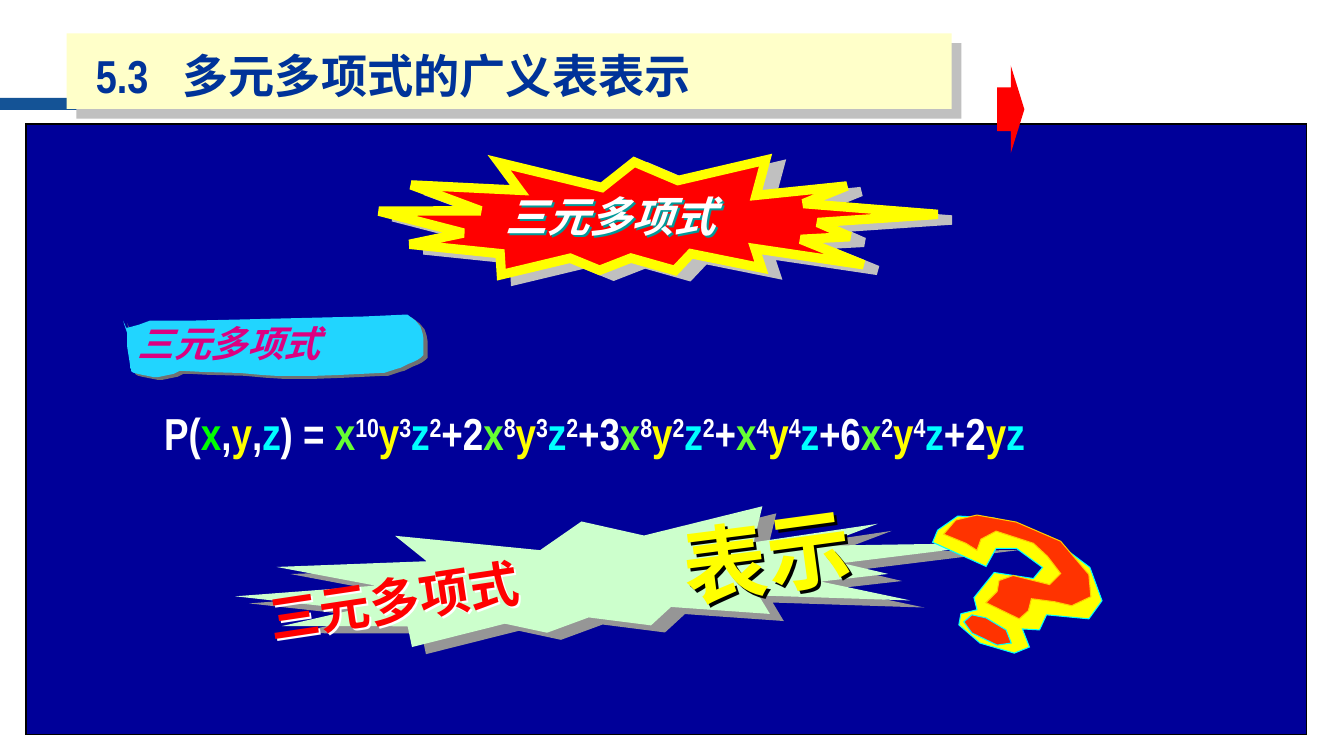
from dataclasses import dataclass
from typing import Optional

from lxml.etree import SubElement
from pptx import Presentation
from pptx.dml.color import RGBColor
from pptx.enum.shapes import MSO_SHAPE as Kind
from pptx.enum.text import MSO_ANCHOR as Anchor, MSO_AUTO_SIZE as Fit, PP_ALIGN as Align
from pptx.oxml.ns import qn
from pptx.util import Pt

PX = 9144  # EMU per px, 100 px to the inch


@dataclass(frozen=True)
class Theme:
    font: str = "Arial Narrow"
    white: str = "FFFFFF"
    black: str = "000000"
    yellow: str = "FFFF00"
    red: str = "FF0000"
    orange: str = "FF3300"
    gold: str = "FFCC00"
    cyan: str = "00FFFF"
    green: str = "00FF00"
    lime: str = "66FF33"
    mint: str = "CCFFCC"
    cream: str = "FFFFC9"
    navy: str = "000099"
    title: str = "003399"
    bar: str = "145396"
    sky: str = "21D5FF"
    pink: str = "DC0081"
    teal: str = "009999"
    silver: str = "C0C0C0"
    grey: str = "969696"
    dark: str = "717171"
    head_size: int = 33
    huge_size: int = 60
    big_size: int = 36
    math_size: int = 32
    burst_size: int = 30
    tag_size: int = 26


T = Theme()
Box = tuple[int, int, int, int]
Point = tuple[int, int]


@dataclass(frozen=True)
class Shade:
    color: str
    dist: float
    angle: int


@dataclass(frozen=True)
class Paint:
    fill: str
    line: Optional[str] = None
    width: float = 0.75
    shade: Optional[Shade] = None


@dataclass(frozen=True)
class Block:
    kind: Kind
    box: Box
    paint: Paint
    turn: float = 0


@dataclass(frozen=True)
class Label:
    text: str
    box: Box
    size: int
    color: str
    turn: float = 0
    slant: bool = False
    wrap: bool = True
    shade: Optional[Shade] = None


@dataclass(frozen=True)
class Term:
    sign: str
    powers: str  # each letter followed by its exponent, 1 when none shows


def cast(shape, shade: Optional[Shade]) -> None:
    """Replace the inherited shadow with the given one, if any."""
    shape.shadow.inherit = False
    if shade:
        effects = shape._element.spPr.find(qn("a:effectLst"))
        outer = SubElement(effects, qn("a:outerShdw"), dist=str(Pt(shade.dist)),
                           dir=str(shade.angle * 60000), algn="ctr", rotWithShape="0")
        SubElement(outer, qn("a:srgbClr"), val=shade.color)


def coat(shape, paint: Paint) -> None:
    """Set fill, outline and shadow."""
    shape.fill.solid()
    shape.fill.fore_color.rgb = RGBColor.from_string(paint.fill)
    if paint.line:
        shape.line.color.rgb = RGBColor.from_string(paint.line)
        shape.line.width = Pt(paint.width)
        SubElement(shape.line._get_or_add_ln(), qn("a:miter"), lim="800000")
    else:
        shape.line.fill.background()
    cast(shape, paint.shade)


def add_block(slide, block: Block):
    shape = slide.shapes.add_shape(block.kind, *(n * PX for n in block.box))
    shape.rotation = block.turn
    coat(shape, block.paint)
    return shape


def add_form(slide, points: list[Point], paint: Paint) -> None:
    form = slide.shapes.build_freeform(*points[0], scale=PX)
    form.add_line_segments(points[1:], close=True)
    coat(form.convert_to_shape(), paint)


def bend(points: list[Point], steps: int = 6) -> list[Point]:
    """Sample a chain of cubic curves: a start, then three points per curve."""
    out = [points[0]]
    for i in range(0, len(points) - 1, 3):
        a, b, c, d = points[i:i + 4]
        for t in (k / steps for k in range(1, steps + 1)):
            u = 1 - t
            out.append(tuple(round(u**3 * p + 3 * u * u * t * q + 3 * u * t * t * r + t**3 * s)
                             for p, q, r, s in zip(a, b, c, d)))
    return out


def add_run(para, text: str, size: int, color: str, slant: bool = False, raised: bool = False) -> None:
    run = para.add_run()
    run.text = text
    font = run.font
    font.name, font.size, font.bold, font.italic = T.font, Pt(size), True, slant
    font.color.rgb = RGBColor.from_string(color)
    if raised:
        run._r.get_or_add_rPr().set("baseline", "30000")


def add_label(slide, label: Label):
    shape = slide.shapes.add_textbox(*(n * PX for n in label.box))
    shape.rotation = label.turn
    cast(shape, label.shade)
    frame = shape.text_frame
    frame.word_wrap = label.wrap
    frame.auto_size = Fit.SHAPE_TO_FIT_TEXT
    if label.text:
        add_run(frame.paragraphs[0], label.text, label.size, label.color, label.slant)
    return shape


def add_title(slide, banner) -> None:
    title = slide.shapes.title
    title.left, title.top, title.width, title.height = (n * PX for n in (78, 42, 878, 66))
    banner._element.addnext(title._element)
    frame = title.text_frame
    frame.word_wrap, frame.auto_size = True, Fit.NONE
    frame.vertical_anchor = Anchor.TOP
    frame.margin_left = 17 * PX
    para = frame.paragraphs[0]
    para.alignment = Align.LEFT
    tabs = SubElement(para._p.get_or_add_pPr(), qn("a:tabLst"))
    SubElement(tabs, qn("a:tab"), pos=str(86 * PX), algn="l")
    add_run(para, "5.3\t多元多项式的广义表表示", T.head_size, T.title)


def add_math(slide, terms: list[Term]) -> None:
    box = add_label(slide, Label("", (153, 398, 906, 64), T.math_size, T.white, wrap=False))
    para = box.text_frame.paragraphs[0]
    hues = {"x": T.lime, "y": T.yellow, "z": T.cyan}
    for part in ("P(", "x", ",", "y", ",", "z", ") = "):
        add_run(para, part, T.math_size, {**hues, "x": T.green}.get(part, T.white))
    for term in terms:
        if term.sign:
            add_run(para, term.sign, T.math_size, T.white)
        for power in term.powers.split():
            add_run(para, power[0], T.math_size, hues[power[0]])
            if power[1:] != "1":
                add_run(para, power[1:], T.math_size, T.white, raised=True)


TERMS = [Term("", "x10 y3 z2"), Term("+2", "x8 y3 z2"), Term("+3", "x8 y2 z2"),
         Term("+", "x4 y4 z1"), Term("+6", "x2 y4 z1"), Term("+2", "y1 z1")]
BAR = Block(Kind.RECTANGLE, (0, 97, 372, 12), Paint(T.bar))
PANEL = Block(Kind.RECTANGLE, (26, 123, 1270, 606), Paint(T.navy, T.black, 1))
BANNER = Block(Kind.RECTANGLE, (66, 33, 878, 75), Paint(T.cream, shade=Shade(T.silver, 9.9, 45)))
SPLASH = Block(Kind.EXPLOSION2, (233, 505, 766, 133),
               Paint(T.mint, shade=Shade(T.grey, 11.2, 27)), 358.9)
BURST = Block(Kind.EXPLOSION2, (376, 151, 553, 133),
              Paint(T.red, T.yellow, 6.75, Shade(T.silver, 10.8, 22)), 4.3)
ARROW = Block(Kind.RIGHT_ARROW, (989, 65, 27, 87), Paint(T.red))
MARK = [
    ([(988, 544), (1008, 544), (1034, 563), (1025, 574), (986, 568), (966, 593), (969, 605),
      (953, 609), (951, 620), (972, 638), (1006, 648), (1021, 642), (1014, 624), (1031, 625),
      (1038, 610), (1080, 614), (1093, 596), (1081, 563), (1040, 532), (986, 514), (950, 512),
      (930, 526), (925, 538), (978, 562)], Paint(T.yellow, T.cyan)),
    ([(936, 530), (958, 539), (969, 546), (973, 535), (988, 527), (1025, 539), (1039, 552),
      (1052, 569), (1041, 580), (1005, 571), (991, 576), (989, 587), (978, 598), (1011, 614),
      (1020, 606), (1023, 594), (1046, 597), (1063, 601), (1082, 592), (1080, 570), (1052, 537),
      (1008, 518), (969, 511), (948, 516)], Paint(T.orange, T.gold)),
    ([(978, 613), (964, 610), (956, 617), (964, 628), (989, 640), (1003, 638), (998, 625)],
     Paint(T.orange, T.cyan)),
]
TAG = [(122, 318), (132, 343), (121, 313), (129, 362), (130, 365), (128, 368), (133, 370),
       (139, 373), (157, 374), (157, 374), (202, 367), (140, 367), (238, 370),
       (292, 375), (277, 374), (377, 370), (385, 370), (389, 366), (397, 365),
       (405, 360), (415, 359), (420, 352), (418, 333), (425, 325), (404, 312),
       (317, 316), (239, 318), (149, 318), (121, 326), (128, 329), (122, 318)]
NAME = "三元多项式"
DROP = Shade(T.black, 3, 45)
SPLASH_TEXT = [
    Label(NAME, (255, 543, 500, 71), T.big_size, T.red, 351.5, shade=Shade(T.white, 2, 45)),
    Label("表", (668, 502, 104, 111), T.huge_size, T.yellow, 352.7, wrap=False, shade=DROP),
    Label("示", (751, 489, 104, 111), T.huge_size, T.yellow, 352.2, wrap=False, shade=DROP),
]
TAG_TEXT = Label(NAME, (127, 314, 399, 54), T.tag_size, T.pink, slant=True)
BURST_TEXT = Label(NAME, (492, 184, 500, 61), T.burst_size, T.white, slant=True,
                   shade=Shade(T.teal, 2, 45))


def main() -> None:
    deck = Presentation()
    deck.slide_width, deck.slide_height = 1333 * PX, 750 * PX
    slide = deck.slides.add_slide(deck.slide_layouts[5])
    add_block(slide, BAR)
    add_block(slide, PANEL)
    add_title(slide, add_block(slide, BANNER))
    add_block(slide, SPLASH)
    for points, paint in MARK:
        add_form(slide, points, paint)
    for label in SPLASH_TEXT:
        add_label(slide, label)
    add_math(slide, TERMS)
    add_form(slide, bend(TAG), Paint(T.sky, shade=Shade(T.dark, 3.6, 34)))
    add_label(slide, TAG_TEXT)
    add_block(slide, BURST)
    add_label(slide, BURST_TEXT)
    add_block(slide, ARROW)
    deck.save("out.pptx")


if __name__ == "__main__":
    main()
